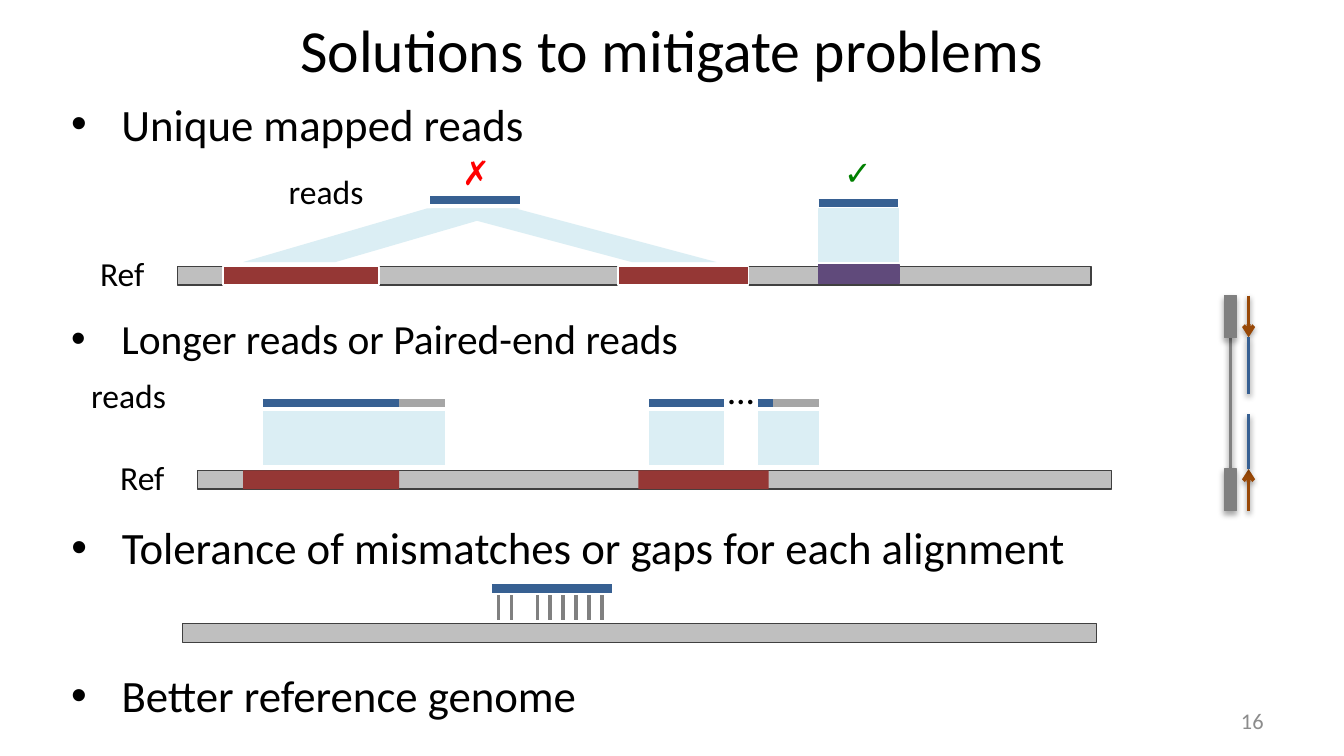
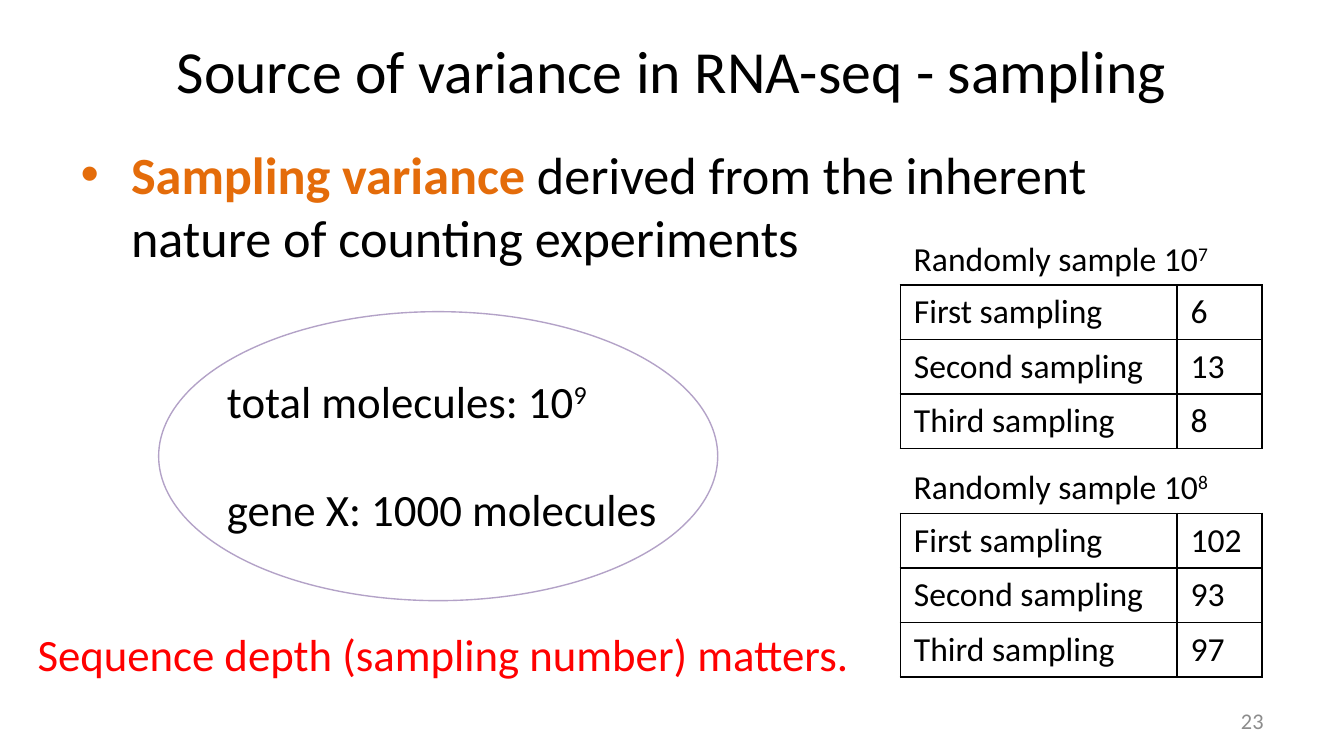
from dataclasses import dataclass

import pptx
import pptx.dml.color
import pptx.enum.shapes
import pptx.enum.text
import pptx.oxml.ns
import pptx.util
from lxml import etree

Pt = pptx.util.Pt
RGB = pptx.dml.color.RGBColor
Shape = pptx.enum.shapes.MSO_SHAPE
Align = pptx.enum.text.PP_ALIGN
Anchor = pptx.enum.text.MSO_ANCHOR
qn = pptx.oxml.ns.qn

BLACK = RGB(0x00, 0x00, 0x00)
WHITE = RGB(0xFF, 0xFF, 0xFF)
RED = RGB(0xFF, 0x00, 0x00)
GREEN = RGB(0x00, 0x80, 0x00)
ORANGE = RGB(0xE4, 0x6C, 0x0A)
READ_BLUE = RGB(0x37, 0x60, 0x92)
MATCH_BLUE = RGB(0xDB, 0xEE, 0xF4)
REPEAT_RED = RGB(0x95, 0x37, 0x35)
UNIQUE_PURPLE = RGB(0x60, 0x4A, 0x7B)
POOL_PURPLE = RGB(0xB3, 0xA2, 0xC7)
PRIMER_BROWN = RGB(0x98, 0x48, 0x07)
REF_GREY = RGB(0xBF, 0xBF, 0xBF)
REF_EDGE = RGB(0x40, 0x40, 0x40)
READ_GREY = RGB(0xA6, 0xA6, 0xA6)
MID_GREY = RGB(0x80, 0x80, 0x80)
NUMBER_GREY = RGB(0x8C, 0x8C, 0x8C)

READ_WIDTH = 4.5
BAR_HEIGHT = 10


@dataclass
class Span:
    text: str
    color: RGB = BLACK
    bold: bool = False
    raised: bool = False


def add_xml(parent, tag, **attributes):
    return etree.SubElement(parent, qn(tag), {k: str(v) for k, v in attributes.items()})


def cast_shadow(effects, distance, alpha):
    shadow = add_xml(effects, "a:outerShdw", blurRad=Pt(3.1), dist=Pt(distance),
                     dir=5400000, rotWithShape=0)
    color = add_xml(shadow, "a:srgbClr", val="000000")
    add_xml(color, "a:alpha", val=alpha * 1000)


class Deck:
    def __init__(self, width, height, font="Calibri"):
        self.prs = pptx.Presentation()
        self.prs.slide_width, self.prs.slide_height = Pt(width), Pt(height)
        self.font = font
        self.slide = None

    def new_slide(self, title, title_box, number):
        self.slide = self.prs.slides.add_slide(self.prs.slide_layouts[1])
        heading = self.place(self.slide.shapes.title, title_box)
        heading.vertical_anchor = Anchor.MIDDLE
        heading.paragraphs[0].alignment = Align.CENTER
        self.add_spans(heading.paragraphs[0], 32, [Span(title)])
        page = self.text((516, 375, 168, 21.6), 12, Span(number, NUMBER_GREY), wrap=True)
        page.vertical_anchor = Anchor.MIDDLE
        page.paragraphs[0].alignment = Align.RIGHT

    def place(self, holder, box):
        """Move a placeholder and return its text frame."""
        holder.left, holder.top, holder.width, holder.height = map(Pt, box)
        holder.text_frame.auto_size = pptx.enum.text.MSO_AUTO_SIZE.NONE
        return holder.text_frame

    def add_spans(self, paragraph, size, spans, font=None):
        for span in spans:
            run = paragraph.add_run()
            run.text = span.text
            run.font.name = font or self.font
            run.font.size = Pt(size)
            run.font.bold = span.bold
            run.font.color.rgb = span.color
            if span.raised:
                run._r.get_or_add_rPr().set("baseline", "30000")

    def text(self, box, size, *spans, wrap=False, font=None):
        frame = self.slide.shapes.add_textbox(*map(Pt, box)).text_frame
        frame.word_wrap = wrap
        self.add_spans(frame.paragraphs[0], size, spans, font)
        return frame

    def bullet(self, box, size, *spans, body=False):
        """Add one bullet, in the body placeholder or in a box of its own."""
        if body:
            frame = self.place(self.slide.placeholders[1], box)
        else:
            frame = self.text(box, size, wrap=True)
        paragraph = frame.paragraphs[0]
        paragraph.space_before = Pt(0)
        pPr = paragraph._p.get_or_add_pPr()
        pPr.set("marL", str(int(Pt(27))))
        pPr.set("indent", str(-int(Pt(27))))
        add_xml(pPr, "a:buFont", typeface="Arial")
        add_xml(pPr, "a:buChar", char="•")
        self.add_spans(paragraph, size, spans)

    def shape(self, kind, box, fill=None, edge=None, shadow=False):
        shape = self.slide.shapes.add_shape(kind, *map(Pt, box))
        if fill is None:
            shape.fill.background()
        else:
            shape.fill.solid()
            shape.fill.fore_color.rgb = fill
        if edge is None:
            shape.line.fill.background()
        else:
            shape.line.color.rgb = edge
            shape.line.width = Pt(0.75)
        shape.shadow.inherit = False
        if shadow:
            cast_shadow(shape.element.spPr.find(qn("a:effectLst")), 1.8, 35)
        return shape

    def match(self, box, slant=0, flip=False):
        """Pale area joining a read to where it maps."""
        area = self.shape(Shape.PARALLELOGRAM, box, MATCH_BLUE)
        area.adjustments[0] = slant
        if flip:
            area.element.spPr.find(qn("a:xfrm")).set("flipH", "1")

    def line(self, start, end, color, width=2, arrow=False, shadow=False):
        line = self.slide.shapes.add_connector(
            pptx.enum.shapes.MSO_CONNECTOR.STRAIGHT, *map(Pt, start + end))
        line.line.color.rgb = color
        line.line.width = Pt(width)
        spPr = line.element.spPr
        if arrow:
            add_xml(spPr.find(qn("a:ln")), "a:tailEnd", type="arrow")
        effects = add_xml(spPr, "a:effectLst")
        if shadow:
            cast_shadow(effects, 1.6, 38)

    def sequence(self, left, right, y, color=READ_BLUE):
        """Horizontal bar standing for a read or a part of one."""
        self.line((left, y), (right, y), color, READ_WIDTH)

    def reference(self, x, y, repeats=True, repeat_edge=None):
        """Reference bar with its label and two repeat regions."""
        self.shape(Shape.RECTANGLE, (x, y, 489.6, BAR_HEIGHT), REF_GREY, REF_EDGE)
        if repeats:
            for offset, width in ((24.5, 83.5), (236.2, 69.8)):
                self.shape(Shape.RECTANGLE, (x + offset, y, width, BAR_HEIGHT),
                           REPEAT_RED, repeat_edge)
            self.text((x - 48.5, y - 10.8, 39.6, 28.8), 18, Span("Ref"))

    def table(self, left, top, widths, row_height, rows):
        grid = self.slide.shapes.add_table(
            len(rows), len(widths), Pt(left), Pt(top),
            Pt(sum(widths)), Pt(row_height * len(rows))).table
        grid.first_row = grid.horz_banding = False
        for column, width in zip(grid.columns, widths):
            column.width = Pt(width)
        for r, row in enumerate(rows):
            grid.rows[r].height = Pt(row_height)
            for c, value in enumerate(row):
                cell = grid.cell(r, c)
                tcPr = cell._tc.get_or_add_tcPr()
                for side in "LRTB":
                    border = add_xml(tcPr, f"a:ln{side}", w=Pt(1))
                    add_xml(add_xml(border, "a:solidFill"), "a:srgbClr", val=BLACK)
                cell.fill.background()
                self.add_spans(cell.text_frame.paragraphs[0], 18, [Span(value)])


def unique_reads(deck):
    deck.bullet((31, 48.2, 357, 36), 24, Span("Unique mapped reads"))
    deck.reference(95, 142.6, repeat_edge=WHITE)
    deck.sequence(438.5, 481, 108.7)
    deck.sequence(230.4, 278.6, 107.3)
    deck.match((130.3, 111.6, 148.3, 28.8), 3.43)
    deck.match((230.4, 111.6, 153.4, 28.8), 3.75, flip=True)
    deck.match((438.5, 111.6, 43.2, 28.8))
    deck.text((147.6, 87.8, 55.4, 28.8), 18, Span("reads"))
    deck.shape(Shape.RECTANGLE, (438.5, 141.8, 43.2, BAR_HEIGHT),
               UNIQUE_PURPLE, UNIQUE_PURPLE)
    for x, mark, color in ((445, "✓", GREEN), (240.5, "✗", RED)):
        deck.text((x, 77.8, 29, 28.8), 18, Span(mark, color), font="Arial")


def longer_reads(deck):
    read_y = 216
    deck.bullet((31, 164.2, 357, 36), 22.2, Span("Longer reads or Paired-end reads"))
    deck.reference(105.8, 252)
    for left, right, color in ((141.1, 213.8, READ_BLUE), (213.8, 238.3, READ_GREY),
                               (347.8, 388, READ_BLUE), (406, 414, READ_BLUE),
                               (414, 438.5, READ_GREY)):
        deck.sequence(left, right, read_y, color)
    deck.text((41.8, 197.3, 55.4, 28.8), 18, Span("reads"))
    deck.text((383, 193, 28.8, 31.7), 20, Span("…"))
    for left, right in ((141.1, 238.3), (347.8, 388), (406, 438.5)):
        deck.match((left, 220.3, right - left, 28.8))


def tolerant_alignment(deck):
    deck.bullet((31, 275, 553.7, 44.6), 24,
                Span("Tolerance of mismatches or gaps for each alignment"), body=True)
    mismatch = 2
    for base in range(9):
        if base != mismatch:
            x = 267.1 + 6.93 * base
            deck.line((x, 319), (x, 332), MID_GREY)
    deck.sequence(263.5, 327.6, 315.4)
    deck.reference(97.9, 334.1, repeats=False)


def paired_ends(deck):
    fragment_x, read_x = 659.2, 668.9
    deck.line((fragment_x, 180.7), (fragment_x, 251.3), MID_GREY, shadow=True)
    for top in (158.4, 251.3):
        deck.shape(Shape.RECTANGLE, (655.9, top, 6.5, 22.3), MID_GREY, MID_GREY, shadow=True)
    for outer, inner, end in ((158.4, 180.7, 211), (273.6, 251.3, 221.8)):
        deck.line((read_x, outer), (read_x, inner), PRIMER_BROWN, arrow=True, shadow=True)
        deck.line((read_x, inner), (read_x, end), READ_BLUE, shadow=True)


def solutions_slide(deck):
    deck.new_slide("Solutions to mitigate problems", (36, 1.4, 648, 49.7), "16")
    unique_reads(deck)
    longer_reads(deck)
    tolerant_alignment(deck)
    paired_ends(deck)
    deck.bullet((31, 354.2, 553.7, 44.6), 24, Span("Better reference genome"))


def sampling_slide(deck):
    deck.new_slide("Source of variance in RNA-seq - sampling", (36, 8, 648, 59), "23")
    deck.bullet((36, 72.7, 605.5, 79.2), 28, Span("Sampling variance", ORANGE, bold=True),
                Span(" derived from the inherent nature of counting experiments"), body=True)

    deck.shape(Shape.OVAL, (85, 167, 299.5, 154.8), edge=POOL_PURPLE)
    pool = deck.text((114.5, 196.6, 248.4, 94.3), 24, Span("total molecules: 10"),
                     Span("9", raised=True), wrap=True)
    gene = pool.add_paragraph()
    gene.space_before = Pt(29)
    deck.add_spans(gene, 24, [Span("gene X: 1000 molecules")])

    samplings = ("First sampling", "Second sampling", "Third sampling")
    for top, power, counts in ((123.8, "7", ("6", "13", "8")),
                               (246.2, "8", ("102", "93", "97"))):
        deck.text((482.4, top, 174.2, 28.8), 18, Span("Randomly sample 10"),
                  Span(power, raised=True))
        deck.table(482.4, top + 28.8, (148.3, 45.4), 29.2, list(zip(samplings, counts)))

    deck.text((13, 332, 454.3, 36), 24, Span("Sequence depth (sampling number) matters.", RED))


def main():
    deck = Deck(720, 405)
    solutions_slide(deck)
    sampling_slide(deck)
    deck.prs.save("out.pptx")


if __name__ == "__main__":
    main()
